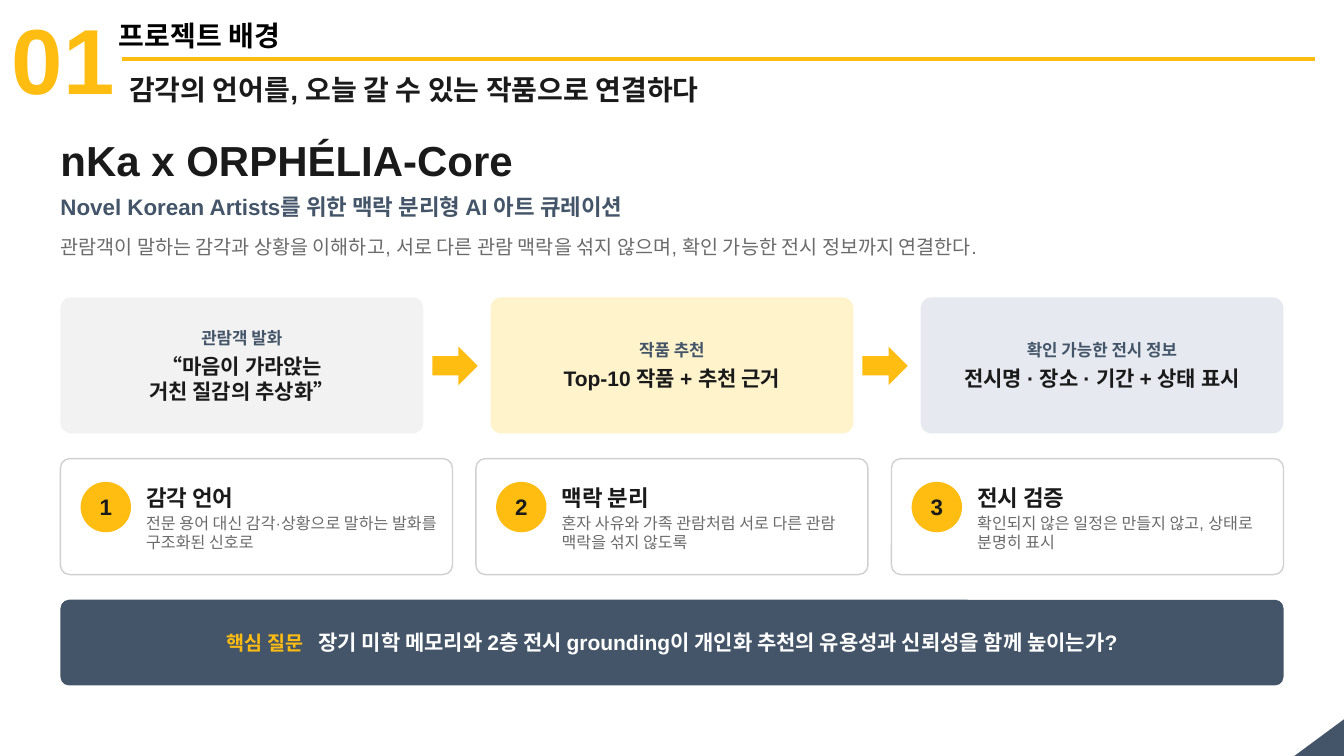
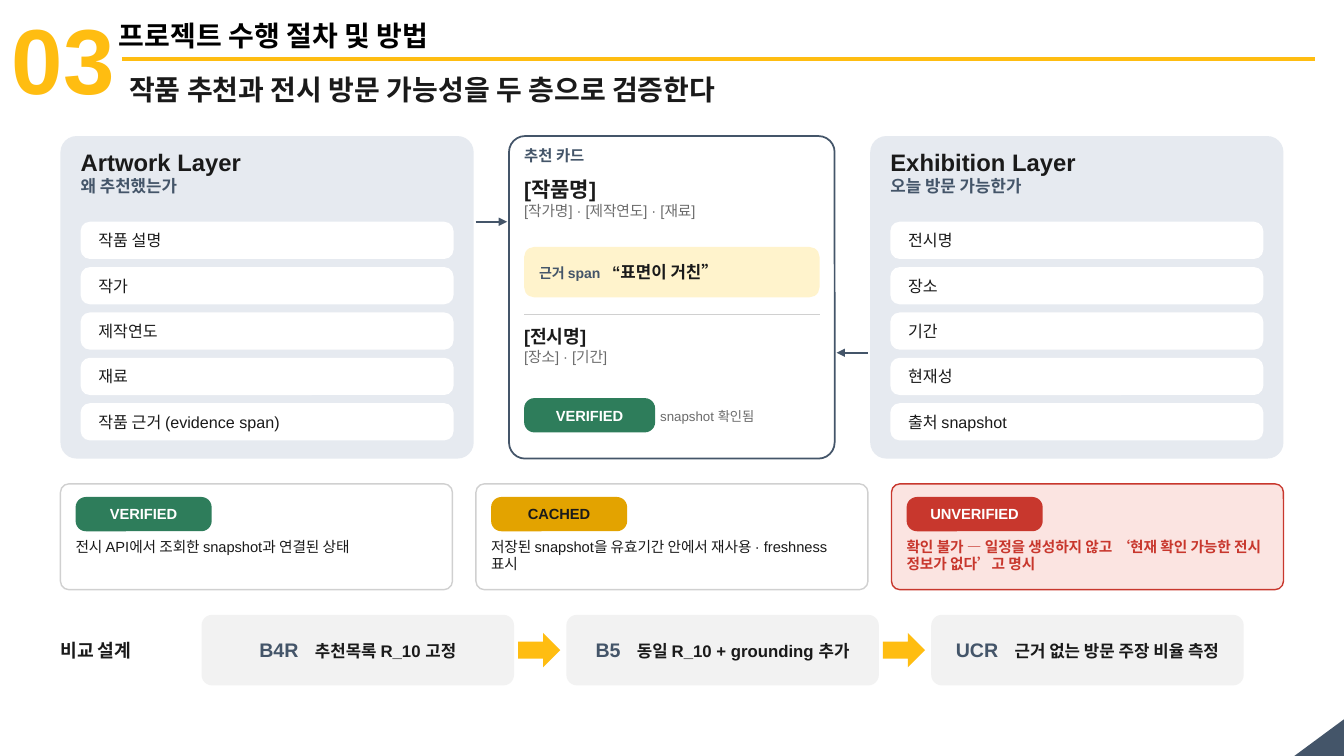
from dataclasses import dataclass
from typing import Optional

from pptx import Presentation
from pptx.dml.color import RGBColor
from pptx.enum import shapes, text
from pptx.oxml.ns import qn
from pptx.util import Pt
from lxml import etree

FONT = "Arial"
GOLD, NAVY, INK, GRAY, WHITE = "FFBD11", "445569", "1A1A1A", "6B6B6B", "FFFFFF"
PALE_GRAY, PALE_GOLD, PALE_BLUE, PALE_RED = "F2F2F2", "FFF3CC", "E6EAF0", "FBE4E1"
BORDER, GREEN, AMBER, RED = "D0D0D0", "2E7D5B", "E3A300", "C8372D"

LEFT, WIDTH = 43.2, 873.6
CARD_WIDTH = 280
TOP, MIDDLE = text.MSO_ANCHOR.TOP, text.MSO_ANCHOR.MIDDLE
START, CENTER = text.PP_ALIGN.LEFT, text.PP_ALIGN.CENTER
ROUND = shapes.MSO_SHAPE.ROUNDED_RECTANGLE


@dataclass
class Line:
    """One paragraph, with an optional lead label set before its text."""
    text: str
    size: float
    color: str = INK
    bold: bool = True
    after: float = 0
    lead: Optional["Line"] = None


def rgb(value):
    return RGBColor.from_string(value)


def columns(count, width):
    """Left edges of equal columns that fill the content width."""
    step = (WIDTH - width) / (count - 1)
    return [LEFT + i * step for i in range(count)]


def style(font, line):
    font.size = Pt(line.size)
    font.color.rgb = rgb(line.color)


def add_lead(paragraph, lead):
    """Label run, then one space widened to the gap before the main text."""
    label = paragraph.add_run()
    label.text = lead.text
    style(label.font, lead)
    gap = paragraph.add_run()
    gap.text = " "
    style(gap.font, lead)
    gap.font._element.set("spc", str(round(lead.size * 55)))


def write(frame, lines, align=START, anchor=TOP, inset_x=0, inset_y=2.2):
    frame.word_wrap = True
    frame.auto_size = text.MSO_AUTO_SIZE.NONE
    frame.vertical_anchor = anchor
    frame.margin_left = frame.margin_right = Pt(inset_x)
    frame.margin_top = frame.margin_bottom = Pt(inset_y)
    for index, line in enumerate(lines):
        paragraph = frame.add_paragraph() if index else frame.paragraphs[0]
        paragraph.alignment = align
        paragraph.space_after = Pt(line.after)
        paragraph.font.name = FONT
        paragraph.font.bold = line.bold
        if line.lead:
            add_lead(paragraph, line.lead)
            body = paragraph.add_run()
            body.text = line.text
            style(body.font, line)
        else:
            paragraph.text = line.text
            style(paragraph.font, line)


def label(slide, left, top, width, height, *lines, **layout):
    box = slide.shapes.add_textbox(Pt(left), Pt(top), Pt(width), Pt(height))
    write(box.text_frame, lines, **layout)


def block(slide, left, top, width, height, fill, *lines, kind=ROUND, radius=None,
          border=None, weight=1, align=CENTER, inset_x=0):
    shape = slide.shapes.add_shape(kind, Pt(left), Pt(top), Pt(width), Pt(height))
    shape.shadow.inherit = False
    shape.fill.solid()
    shape.fill.fore_color.rgb = rgb(fill)
    if border:
        shape.line.color.rgb = rgb(border)
        shape.line.width = Pt(weight)
    else:
        shape.line.fill.background()
    if radius is not None:
        shape.adjustments[0] = radius
    if lines:
        write(shape.text_frame, lines, align, MIDDLE, inset_x)
    return shape


def rule(slide, start, end, y, color, weight, arrow=False):
    connector = slide.shapes.add_connector(
        shapes.MSO_CONNECTOR.STRAIGHT, Pt(start), Pt(y), Pt(end), Pt(y))
    connector.line.color.rgb = rgb(color)
    connector.line.width = Pt(weight)
    if arrow:
        etree.SubElement(connector.line._get_or_add_ln(), qn("a:tailEnd"), type="triangle")
    etree.SubElement(connector._element.spPr, qn("a:effectLst"))
    return connector


def block_arrow(slide, left, center_y, width, height):
    block(slide, left, center_y - height / 2, width, height, GOLD,
          kind=shapes.MSO_SHAPE.RIGHT_ARROW)


def pill(slide, left, top, width, status, fill, color=WHITE):
    block(slide, left, top, width, 24.5, fill, Line(status, 10.5, color),
          radius=0.3, inset_x=3)


def decorate_layout(layout, slide):
    """Move the shared header rule and corner triangle onto the layout."""
    corner = block(slide, 928.8, 509, 26.6, 36, NAVY, kind=shapes.MSO_SHAPE.RIGHT_TRIANGLE)
    corner.rotation = 270
    header_rule = rule(slide, 87, 939.6, 42, GOLD, 2.5)
    for part in (corner, header_rule):
        layout.shapes.element.append(part.element)


def add_header(slide, number, section, headline):
    label(slide, 1.4, -2.2, 91.4, 87, Line(number, 66, GOLD), inset_x=7.2, inset_y=3.6)
    label(slide, 77.8, 10, 504, 32, Line(section, 20, "000000"), inset_x=7.2, inset_y=3.6)
    title = slide.shapes.title
    title.left, title.top, title.width, title.height = Pt(85), Pt(48.2), Pt(856.8), Pt(32)
    write(title.text_frame, [Line(headline, 20)], inset_x=7.2, inset_y=3.6)


def flow_step(slide, left, fill, caption, content):
    block(slide, left, 212.4, 259.2, 97.2, fill,
          Line(caption, 12, NAVY, after=4), Line(content, 15), radius=0.08, inset_x=4.3)


def numbered_card(slide, left, number, heading, detail):
    block(slide, left, 327.6, CARD_WIDTH, 82.8, WHITE, radius=0.08, border=BORDER)
    block(slide, left + 14.4, 344.2, 36, 36, GOLD, Line(str(number), 16),
          kind=shapes.MSO_SHAPE.OVAL)
    label(slide, left + 61.2, 334, 212.4, 72, Line(heading, 16, after=2),
          Line(detail, 11.5, GRAY, bold=False), anchor=MIDDLE)


def build_background(slide):
    add_header(slide, "01", "프로젝트 배경", "감각의 언어를, 오늘 갈 수 있는 작품으로 연결하다")
    label(slide, LEFT, 93.6, 648, 43.2, Line("nKa x ORPHÉLIA-Core", 30))
    label(slide, LEFT, 135.4, 792, 28.8,
          Line("Novel Korean Artists를 위한 맥락 분리형 AI 아트 큐레이션", 16, NAVY))
    label(slide, LEFT, 165.6, WIDTH, 28.8,
          Line("관람객이 말하는 감각과 상황을 이해하고, 서로 다른 관람 맥락을 섞지 않으며, "
               "확인 가능한 전시 정보까지 연결한다.", 14, GRAY, bold=False))

    flow = [
        (PALE_GRAY, "관람객 발화", "“마음이 가라앉는\v거친 질감의 추상화”"),
        (PALE_GOLD, "작품 추천", "Top-10 작품 + 추천 근거"),
        (PALE_BLUE, "확인 가능한 전시 정보", "전시명 · 장소 · 기간 + 상태 표시"),
    ]
    flow_lefts = columns(3, 259.2)
    for left, step in zip(flow_lefts, flow):
        flow_step(slide, left, *step)
    for left in flow_lefts[:-1]:
        block_arrow(slide, left + 265.6, 261.3, 32.4, 27.4)

    principles = [
        ("감각 언어", "전문 용어 대신 감각·상황으로 말하는 발화를 구조화된 신호로"),
        ("맥락 분리", "혼자 사유와 가족 관람처럼 서로 다른 관람 맥락을 섞지 않도록"),
        ("전시 검증", "확인되지 않은 일정은 만들지 않고, 상태로 분명히 표시"),
    ]
    for number, (left, principle) in enumerate(zip(columns(3, CARD_WIDTH), principles), 1):
        numbered_card(slide, left, number, *principle)

    block(slide, LEFT, 428.4, WIDTH, 61.2, NAVY,
          Line("장기 미학 메모리와 2층 전시 grounding이 개인화 추천의 유용성과 신뢰성을 함께 높이는가?",
               15, WHITE, lead=Line("핵심 질문", 14, GOLD)), radius=0.1, inset_x=14.4)


def layer_panel(slide, left, name, question, fields):
    block(slide, left, 97.2, 295.2, 230.4, PALE_BLUE, radius=0.05)
    inner = left + 14.4
    label(slide, inner, 103, 266.4, 50.4, Line(name, 17), Line(question, 12, NAVY))
    for row, field in enumerate(fields):
        block(slide, inner, 158.4 + row * 32.4, 266.4, 26.6, WHITE,
              Line(field, 11.5, bold=False), radius=0.25, align=START, inset_x=10.8)


def recommendation_card(slide):
    left, width = 374.4, 211
    block(slide, 363.6, 97.2, 232.6, 230.4, WHITE, radius=0.05, border=NAVY, weight=1.25)
    label(slide, left, 102.2, width, 21.6, Line("추천 카드", 11, NAVY))
    label(slide, left, 123.8, width, 50.4, Line("[작품명]", 15),
          Line("[작가명] · [제작연도] · [재료]", 10.5, GRAY, bold=False))
    block(slide, left, 176.4, width, 36, PALE_GOLD,
          Line("“표면이 거친”", 12, lead=Line("근거 span", 10, NAVY)),
          radius=0.2, align=START, inset_x=8.6)
    rule(slide, left, left + width, 224.6, BORDER, 1)
    label(slide, left, 230.4, width, 43.2, Line("[전시명]", 13),
          Line("[장소] · [기간]", 10.5, GRAY, bold=False))
    pill(slide, left, 284.4, 93.6, "VERIFIED", GREEN)
    label(slide, left + 97.2, 283, 118.8, 28.8,
          Line("snapshot 확인됨", 9.5, GRAY, bold=False), anchor=MIDDLE)


def status_card(slide, left, status, color, meaning, pill_text=WHITE, alert=False):
    block(slide, left, 345.6, CARD_WIDTH, 75.6, PALE_RED if alert else WHITE,
          radius=0.08, border=color if alert else BORDER)
    pill(slide, left + 10.8, 355, 97.2, status, color, pill_text)
    label(slide, left + 10.8, 381.6, 259.2, 37.4,
          Line(meaning, 10.5, color if alert else INK, bold=alert))


def build_method(slide):
    add_header(slide, "03", "프로젝트 수행 절차 및 방법", "작품 추천과 전시 방문 가능성을 두 층으로 검증한다")
    layers = [
        ("Artwork Layer", "왜 추천했는가",
         ["작품 설명", "작가", "제작연도", "재료", "작품 근거 (evidence span)"]),
        ("Exhibition Layer", "오늘 방문 가능한가",
         ["전시명", "장소", "기간", "현재성", "출처 snapshot"]),
    ]
    for left, layer in zip(columns(2, 295.2), layers):
        layer_panel(slide, left, *layer)
    recommendation_card(slide)
    rule(slide, 339.8, 362.2, 158.4, NAVY, 1.75, arrow=True)
    rule(slide, 620, 597.6, 252, NAVY, 1.75, arrow=True)

    statuses = [
        ("VERIFIED", GREEN, "전시 API에서 조회한 snapshot과 연결된 상태"),
        ("CACHED", AMBER, "저장된 snapshot을 유효기간 안에서 재사용 · freshness 표시", INK),
        ("UNVERIFIED", RED,
         "확인 불가 — 일정을 생성하지 않고 ‘현재 확인 가능한 전시 정보가 없다’고 명시", WHITE, True),
    ]
    for left, status in zip(columns(3, CARD_WIDTH), statuses):
        status_card(slide, left, *status)

    label(slide, LEFT, 439.2, 108, 50.4, Line("비교 설계", 13), anchor=MIDDLE)
    comparisons = [("B4R", "추천목록 R_10 고정"), ("B5", "동일 R_10 + grounding 추가"),
                   ("UCR", "근거 없는 방문 주장 비율 측정")]
    for index, (code, condition) in enumerate(comparisons):
        left = 144 + index * 260.6
        block(slide, left, 439.2, 223.2, 50.4, PALE_GRAY,
              Line(condition, 12, lead=Line(code, 14, NAVY)), radius=0.15, inset_x=5.8)
        if index:
            block_arrow(slide, left - 34.6, 464.4, 30.2, 24.5)


def main():
    deck = Presentation()
    deck.slide_width, deck.slide_height = Pt(960), Pt(540)
    title_only = deck.slide_layouts[5]
    background, method = (deck.slides.add_slide(title_only) for _ in range(2))
    decorate_layout(title_only, background)
    build_background(background)
    build_method(method)
    deck.save("out.pptx")


if __name__ == "__main__":
    main()
